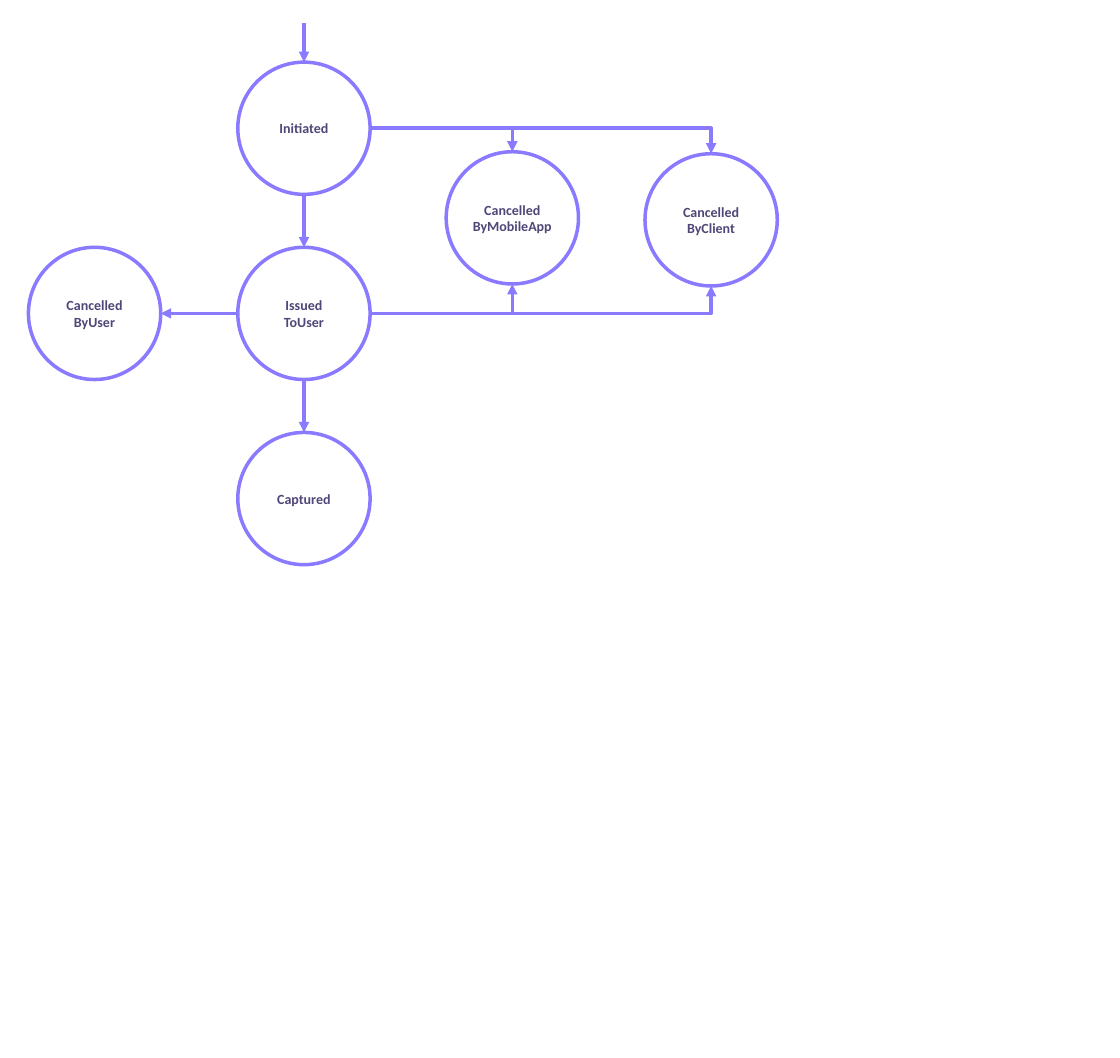
"""Build the payment state diagram slide."""
from lxml import etree
from pptx import Presentation
from pptx import util as u
from pptx.dml.color import RGBColor
from pptx.enum import shapes, text
from pptx.oxml import ns

VIOLET = RGBColor(0x89, 0x7A, 0xFF)
INDIGO = RGBColor(0x50, 0x46, 0x78)
WHITE = RGBColor(0xFF, 0xFF, 0xFF)

RADIUS = 2
MAIN_X, FIRST_Y, STEP_Y = 9.19, 3.88, 5.6
ISSUED_Y = FIRST_Y + STEP_Y
LINE_WIDTH = u.Pt(3)

presentation = Presentation()
presentation.slide_width = u.Cm(33.86)
presentation.slide_height = u.Cm(32)
slide = presentation.slides.add_slide(presentation.slide_layouts[6])


def write_text(shape, label, font="Calibri", size=12, bold=True, color=INDIGO):
    frame = shape.text_frame
    frame.word_wrap = True
    frame.vertical_anchor = text.MSO_ANCHOR.MIDDLE
    frame.margin_left = frame.margin_right = frame.margin_top = frame.margin_bottom = 0
    paragraph = frame.paragraphs[0]
    paragraph.text = label
    paragraph.alignment = text.PP_ALIGN.CENTER
    for run in paragraph.runs:
        run.font.name = font
        run.font.size = u.Pt(size)
        run.font.bold = bold
        run.font.color.rgb = color


def add_arrow(start, end):
    straight = start[0] == end[0] or start[1] == end[1]
    kind = shapes.MSO_CONNECTOR.STRAIGHT if straight else shapes.MSO_CONNECTOR.ELBOW
    ends = [u.Cm(value) for value in (*start, *end)]
    connector = slide.shapes.add_connector(kind, *ends)
    connector.line.color.rgb = VIOLET
    connector.line.width = LINE_WIDTH
    properties = connector._element.spPr
    if not straight:
        properties.find(ns.qn("a:prstGeom")).set("prst", "bentConnector2")
    outline = properties.find(ns.qn("a:ln"))
    etree.SubElement(outline, ns.qn("a:tailEnd")).set("type", "triangle")
    etree.SubElement(properties, ns.qn("a:effectLst"))


states = {
    "Initiated": (MAIN_X, FIRST_Y),
    "Issued\nToUser": (MAIN_X, ISSUED_Y),
    "Captured": (MAIN_X, ISSUED_Y + STEP_Y),
    "Cancelled\nByMobileApp": (15.49, 6.59),
    "Cancelled\nByUser": (2.86, ISSUED_Y),
    "Cancelled\nByClient": (21.5, 6.65),
}
for label, (x, y) in states.items():
    circle = slide.shapes.add_shape(
        shapes.MSO_SHAPE.OVAL,
        u.Cm(x - RADIUS), u.Cm(y - RADIUS), u.Cm(2 * RADIUS), u.Cm(2 * RADIUS),
    )
    circle.shadow.inherit = False
    circle.fill.solid()
    circle.fill.fore_color.rgb = WHITE
    circle.line.color.rgb = VIOLET
    circle.line.width = LINE_WIDTH
    write_text(circle, label)

add_arrow((MAIN_X, 0.69), (MAIN_X, FIRST_Y - RADIUS))
for y in (FIRST_Y, ISSUED_Y):
    add_arrow((MAIN_X, y + RADIUS), (MAIN_X, y + STEP_Y - RADIUS))

user_x, user_y = states["Cancelled\nByUser"]
add_arrow((MAIN_X - RADIUS, ISSUED_Y), (user_x + RADIUS, user_y))

for label in ("Cancelled\nByMobileApp", "Cancelled\nByClient"):
    x, y = states[label]
    add_arrow((MAIN_X + RADIUS, FIRST_Y), (x, y - RADIUS))
    add_arrow((MAIN_X + RADIUS, ISSUED_Y), (x, y + RADIUS))

presentation.save("out.pptx")
